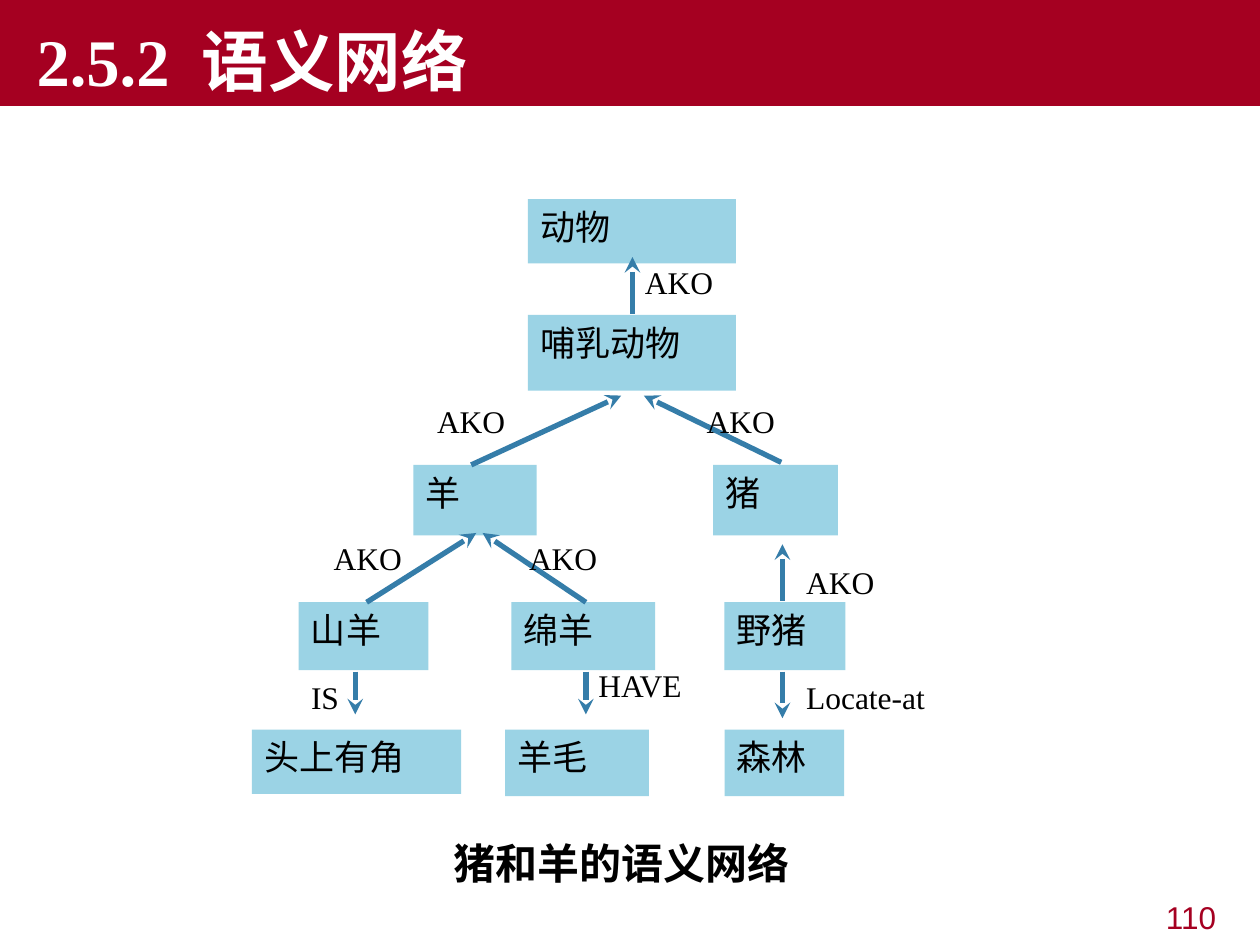
from typing import NamedTuple

from lxml.etree import SubElement
from pptx import Presentation
from pptx.dml.color import RGBColor
from pptx.enum.shapes import MSO_CONNECTOR as Connector, MSO_SHAPE as Shape
from pptx.enum.text import MSO_ANCHOR as Anchor, MSO_AUTO_SIZE as AutoSize, PP_ALIGN as Align
from pptx.oxml.ns import qn
from pptx.util import Inches, Pt

CRIMSON = RGBColor(0xA5, 0x00, 0x21)
SKY = RGBColor(0x9B, 0xD3, 0xE5)
STEEL = RGBColor(0x35, 0x7D, 0xA9)
BLACK = RGBColor(0, 0, 0)
WHITE = RGBColor(255, 255, 255)

SERIF, SANS, CHINESE = "Times New Roman", "Arial", "Noto Sans CJK SC"

# The slide is a grid of square cells; every length below counts cells.
COLUMNS, ROWS = 100, 75
CELL = Inches(0.1)
LABEL_HEIGHT = 4

# Top edges of the levels of the network
TOP, MAMMAL, KIND, BREED, FACT = 15.8, 25, 36.9, 47.8, 57.9


class Node(NamedTuple):
    text: str
    left: float
    top: float
    width: float
    height: float


class Arrow(NamedTuple):
    start: tuple[float, float]
    end: tuple[float, float]


class Label(NamedTuple):
    text: str
    left: float
    top: float
    width: float
    align: Align = Align.LEFT


NODES = [
    Node("动物", 41.9, TOP, 16.5, 5.1),
    Node("哺乳动物", 41.9, MAMMAL, 16.5, 6),
    Node("羊", 32.8, KIND, 9.8, 5.6),
    Node("猪", 56.6, KIND, 9.9, 5.6),
    Node("山羊", 23.7, BREED, 10.3, 5.4),
    Node("绵羊", 40.6, BREED, 11.4, 5.4),
    Node("野猪", 57.5, BREED, 9.6, 5.4),
    Node("头上有角", 20, FACT, 16.6, 5.1),
    Node("羊毛", 40.1, FACT, 11.4, 5.3),
    Node("森林", 57.5, FACT, 9.5, 5.3),
]

ARROWS = [
    Arrow((50.2, 24.9), (50.2, 20.4)),
    Arrow((37.4, KIND), (49.3, 31.4)),
    Arrow((62, 36.7), (51.1, 31.4)),
    Arrow((29.1, BREED), (37.8, 42.3)),
    Arrow((46.5, BREED), (38.3, 42.3)),
    Arrow((62.1, 47.7), (62.1, 43.2)),
    Arrow((28.2, 53.3), (28.2, 56.7)),
    Arrow((46.5, 53.3), (46.5, 56.7)),
    Arrow((62.1, 53.3), (62.1, 57)),
]

LABELS = [
    Label("AKO", 50.2, 20.4, 10.1),
    Label("AKO", 33.7, 31.4, 9.1),
    Label("AKO", 55.1, 31.4, 10.6),
    Label("AKO", 25.5, 42.3, 9),
    Label("AKO", 41, 42.3, 9.9),
    Label("AKO", 63, 44.2, 8.2),
    Label("IS", 23.7, 53.3, 6.5, Align.JUSTIFY),
    Label("HAVE", 46.5, 52.4, 10.8, Align.JUSTIFY),
    Label("Locate-at", 63, 53.3, 13.6, Align.JUSTIFY),
]


def cells(*counts: float) -> list[int]:
    return [round(count * CELL) for count in counts]


def add_run(paragraph, text: str, size: float, color: RGBColor,
            latin: str = SERIF, bold: bool = False) -> None:
    run = paragraph.add_run()
    run.text = text
    font = run.font
    font.size, font.bold, font.name = Pt(size), bold, latin
    font.color.rgb = color
    SubElement(run._r.get_or_add_rPr(), qn("a:ea"), typeface=CHINESE)


def add_text(slide, label: Label, height: float, size: float,
             color: RGBColor = BLACK, latin: str = SERIF, bold: bool = False) -> None:
    box = slide.shapes.add_textbox(*cells(label.left, label.top, label.width, height))
    box.text_frame.word_wrap = True
    paragraph = box.text_frame.paragraphs[0]
    paragraph.alignment = label.align
    add_run(paragraph, label.text, size, color, latin, bold)


def add_node(slide, node: Node) -> None:
    shape = slide.shapes.add_shape(
        Shape.RECTANGLE, *cells(node.left, node.top, node.width, node.height))
    shape.shadow.inherit = False
    shape.fill.solid()
    shape.fill.fore_color.rgb = SKY
    shape.line.fill.background()
    frame = shape.text_frame
    frame.word_wrap = True
    frame.vertical_anchor = Anchor.TOP
    paragraph = frame.paragraphs[0]
    paragraph.alignment = Align.LEFT
    add_run(paragraph, node.text, 20, BLACK)


def add_arrow(slide, arrow: Arrow) -> None:
    connector = slide.shapes.add_connector(
        Connector.STRAIGHT, *cells(*arrow.start, *arrow.end))
    connector.line.color.rgb = STEEL
    connector.line.width = Pt(3)
    SubElement(connector.line._get_or_add_ln(), qn("a:tailEnd"), type="stealth")
    SubElement(connector._element.spPr, qn("a:effectLst"))


def format_title(title) -> None:
    title.left, title.top, title.width, title.height = cells(0, 0, COLUMNS, 8.4)
    title.fill.solid()
    title.fill.fore_color.rgb = CRIMSON
    frame = title.text_frame
    frame.auto_size = AutoSize.NONE
    frame.vertical_anchor = Anchor.BOTTOM
    paragraph = frame.paragraphs[0]
    paragraph.alignment = Align.LEFT
    properties = paragraph._p.get_or_add_pPr()
    properties.set("marL", "0")
    properties.set("indent", str(Inches(0.19)))
    tabs = SubElement(properties, qn("a:tabLst"))
    SubElement(tabs, qn("a:tab"), pos=str(Inches(1.63)), algn="l")
    add_run(paragraph, "2.5.2\t", 38, WHITE, bold=True)
    add_run(paragraph, "语义网络", 38, WHITE, CHINESE, bold=True)


def main() -> None:
    presentation = Presentation()
    presentation.slide_width, presentation.slide_height = cells(COLUMNS, ROWS)
    slide = presentation.slides.add_slide(
        presentation.slide_layouts.get_by_name("Title Only"))
    format_title(slide.shapes.title)
    for node in NODES:
        add_node(slide, node)
    for arrow in ARROWS:
        add_arrow(slide, arrow)
    for label in LABELS:
        add_text(slide, label, LABEL_HEIGHT, 18)
    caption = Label("猪和羊的语义网络", 35, 66, 31.5, Align.JUSTIFY)
    add_text(slide, caption, 4.6, 24, latin=CHINESE, bold=True)
    page_number = Label("110", 75.8, 70.8, 21.7, Align.RIGHT)
    add_text(slide, page_number, 3.9, 18, CRIMSON, SANS)
    presentation.save("out.pptx")


if __name__ == "__main__":
    main()
